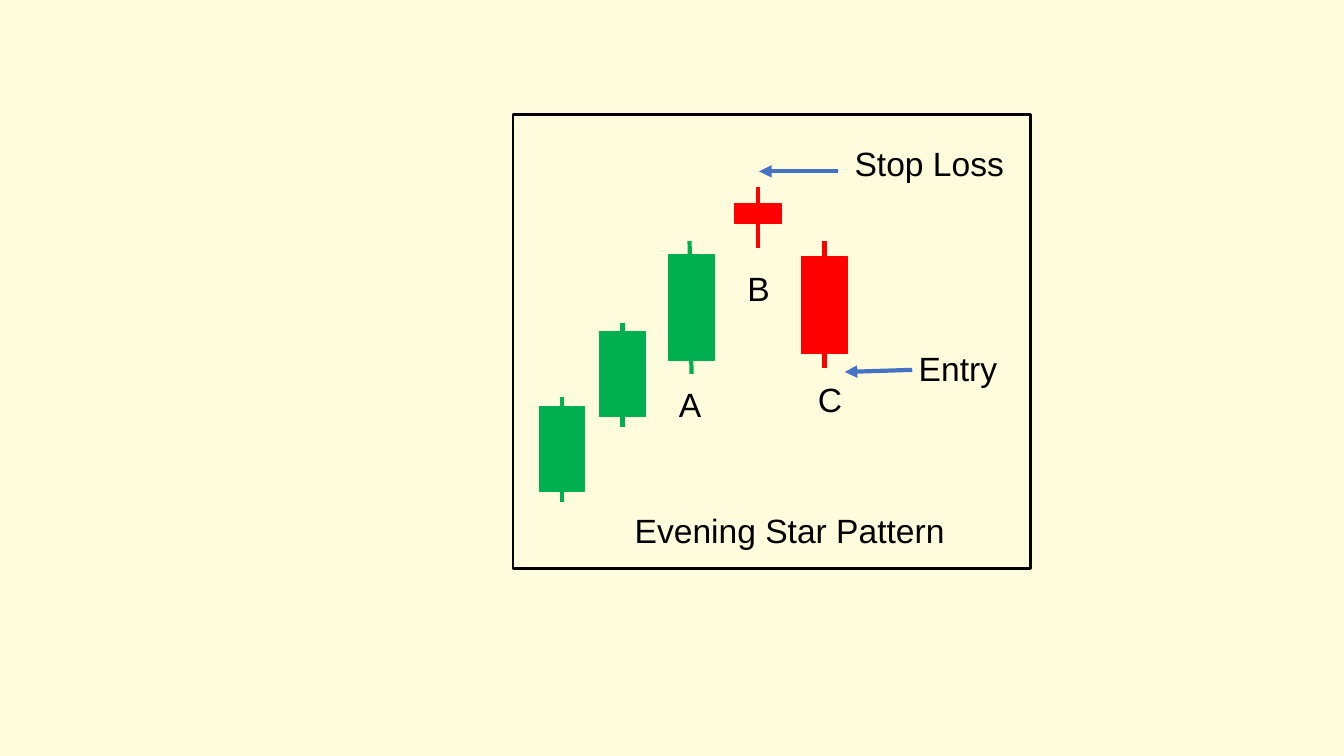
from lxml import etree
from pptx import Presentation
from pptx.dml.color import RGBColor
from pptx.enum.shapes import MSO_CONNECTOR as Connector, MSO_SHAPE as Shape
from pptx.enum.text import MSO_AUTO_SIZE as AutoSize, PP_ALIGN as Align
from pptx.oxml.ns import qn
from pptx.util import Pt

CREAM, BLACK, BLUE = "FFFBDD", "000000", "4472C4"
RISING, FALLING = "00B050", "FF0000"

# left, body top, width, body height, wick top, wick bottom, wick lean, colour
CANDLES = [
    (572.4, 183.6, 33.1, 69.1, 172.1, 262.8, 0, FALLING),
    (477.4, 182.2, 33.1, 74.9, 172.1, 267.1, -1.4, RISING),
    (524.9, 145.4, 33.1, 14.4, 133.9, 177.1, 0, FALLING),
    (428.4, 236.9, 32.4, 60.5, 230.4, 305.3, 0, RISING),
    (385.2, 290.2, 32.4, 60.5, 283.7, 358.6, 0, RISING),
]

# text, left, top, width
LABELS = [
    ("A", 470.2, 270.7, 45.4),
    ("B", 519.1, 187.9, 45.4),
    ("C", 570.2, 267.1, 45.4),
    ("Evening Star Pattern", 442.8, 360.7, 242.6),
    ("Entry", 606.2, 244.8, 156.2),
    ("Stop Loss", 599, 98.6, 129.6),
]

# start x, start y, end x, end y
ARROWS = [
    (598.3, 122.4, 542.2, 122.4),
    (651.6, 264.2, 603.4, 265.7),
]


def color(hex_code):
    return RGBColor.from_string(hex_code)


def add_box(shapes, left, top, width, height, line, weight, fill=None):
    box = shapes.add_shape(Shape.RECTANGLE, Pt(left), Pt(top), Pt(width), Pt(height))
    box.shadow.inherit = False
    if fill:
        box.fill.solid()
        box.fill.fore_color.rgb = color(fill)
    else:
        box.fill.background()
    box.line.color.rgb = color(line)
    box.line.width = Pt(weight)


def add_line(shapes, x1, y1, x2, y2, line, arrow=False):
    stroke = shapes.add_connector(Connector.STRAIGHT, Pt(x1), Pt(y1), Pt(x2), Pt(y2))
    stroke.line.color.rgb = color(line)
    stroke.line.width = Pt(3)
    if arrow:
        etree.SubElement(stroke.line._get_or_add_ln(), qn("a:tailEnd"), type="triangle")
    etree.SubElement(stroke._element.spPr, qn("a:effectLst"))


def add_candle(slide, left, top, width, height, wick_top, wick_bottom, lean, hue):
    candle = slide.shapes.add_group_shape().shapes
    middle = left + width / 2
    add_box(candle, left, top, width, height, hue, 1, fill=hue)
    add_line(candle, middle, wick_bottom, middle + lean, wick_top, hue)


def add_label(slide, text, left, top, width):
    label = slide.shapes.add_textbox(Pt(left), Pt(top), Pt(width), Pt(36))
    frame = label.text_frame
    frame.word_wrap = True
    frame.auto_size = AutoSize.SHAPE_TO_FIT_TEXT
    frame.text = text
    paragraph = frame.paragraphs[0]
    paragraph.alignment = Align.CENTER
    font = paragraph.runs[0].font
    font.name, font.size = "Arial", Pt(24)
    font.color.rgb = color(BLACK)


def main():
    deck = Presentation()
    deck.slide_width, deck.slide_height = Pt(960), Pt(540)
    slide = deck.slides.add_slide(deck.slide_layouts[6])
    slide.background.fill.solid()
    slide.background.fill.fore_color.rgb = color(CREAM)

    # Frame around the pattern
    add_box(slide.shapes, 366.5, 82.1, 369.4, 324, BLACK, 2)

    # Candlesticks
    for candle in CANDLES:
        add_candle(slide, *candle)

    # Trade arrows and wording
    for arrow in ARROWS:
        add_line(slide.shapes, *arrow, BLUE, arrow=True)
    for label in LABELS:
        add_label(slide, *label)

    deck.save("out.pptx")


main()
